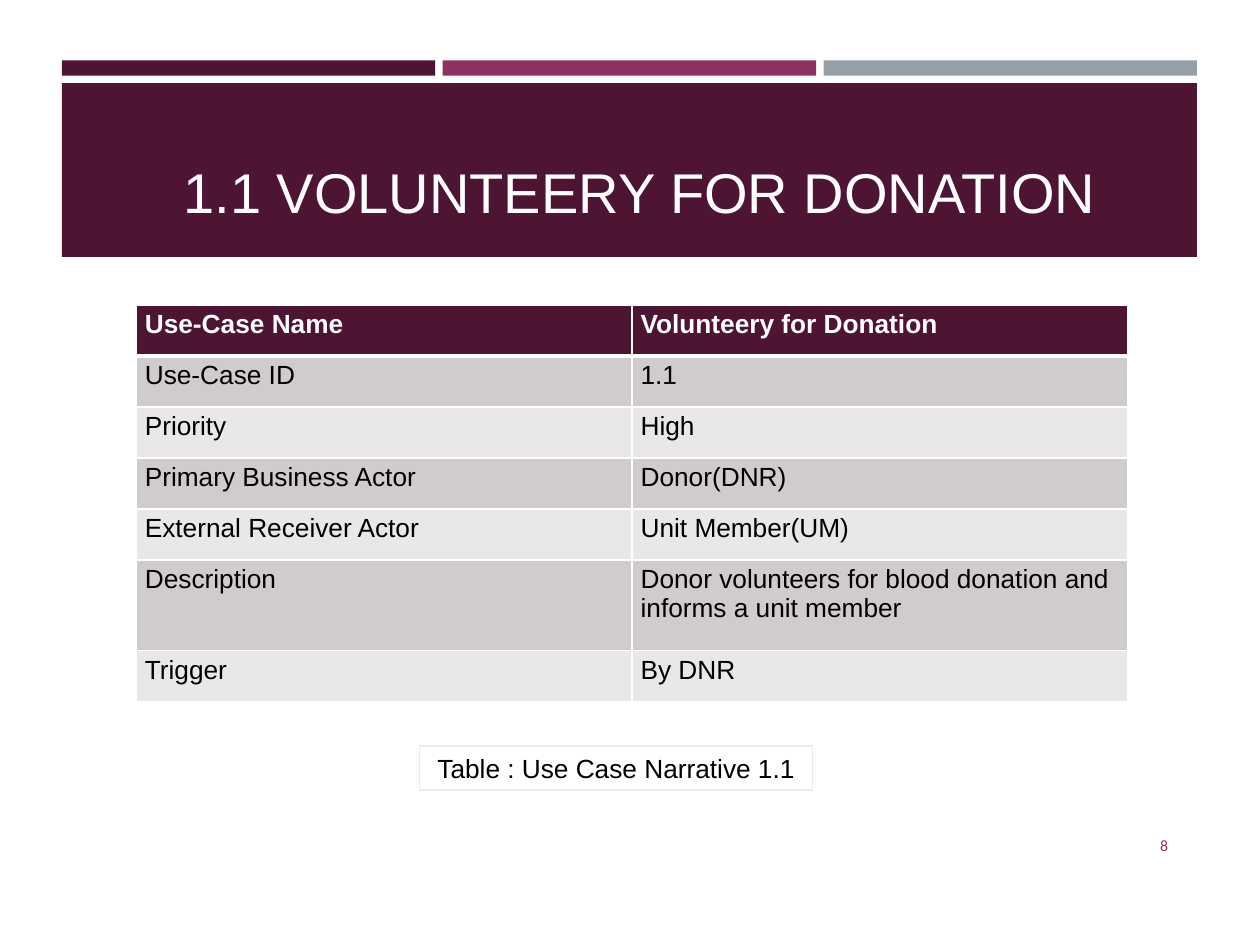
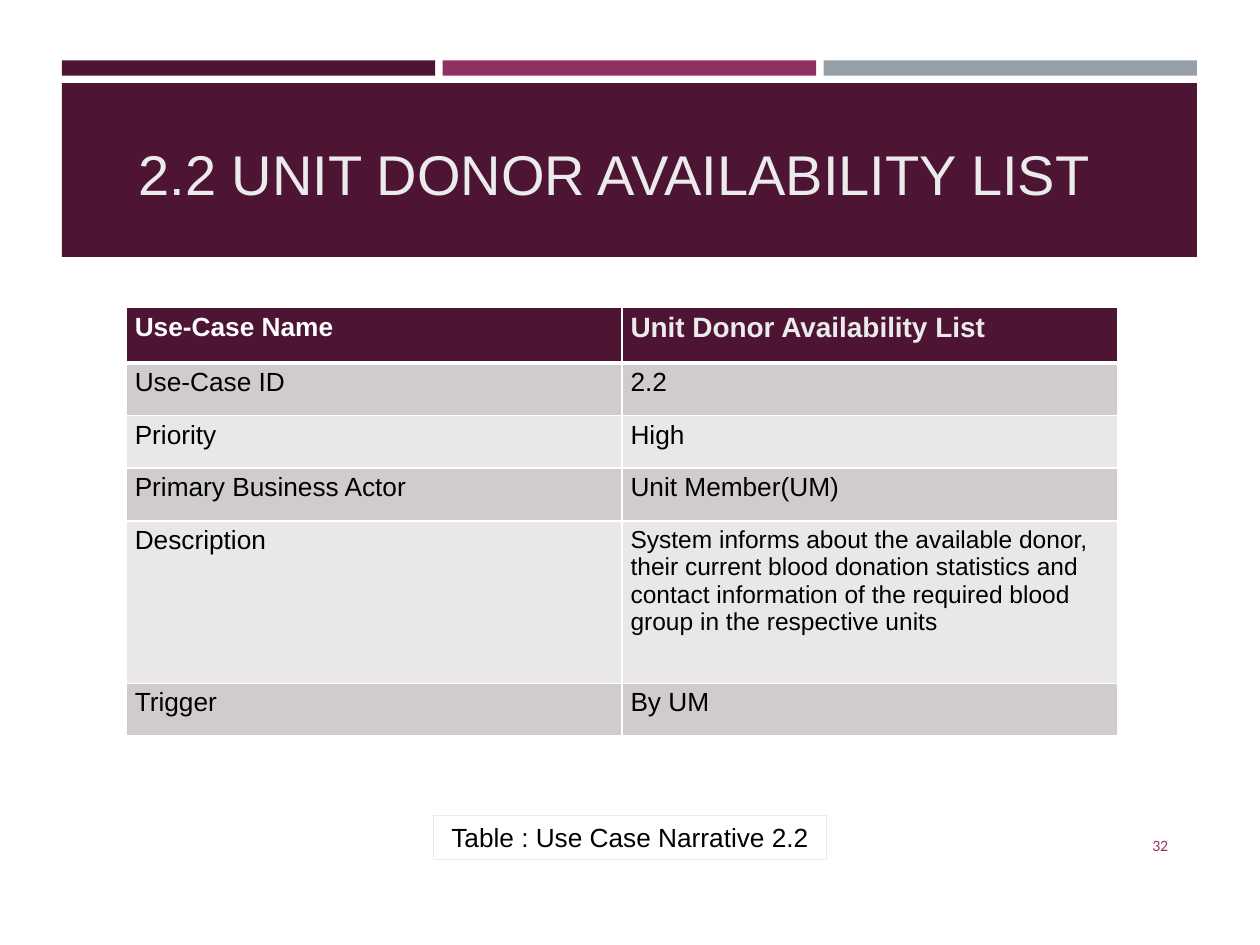
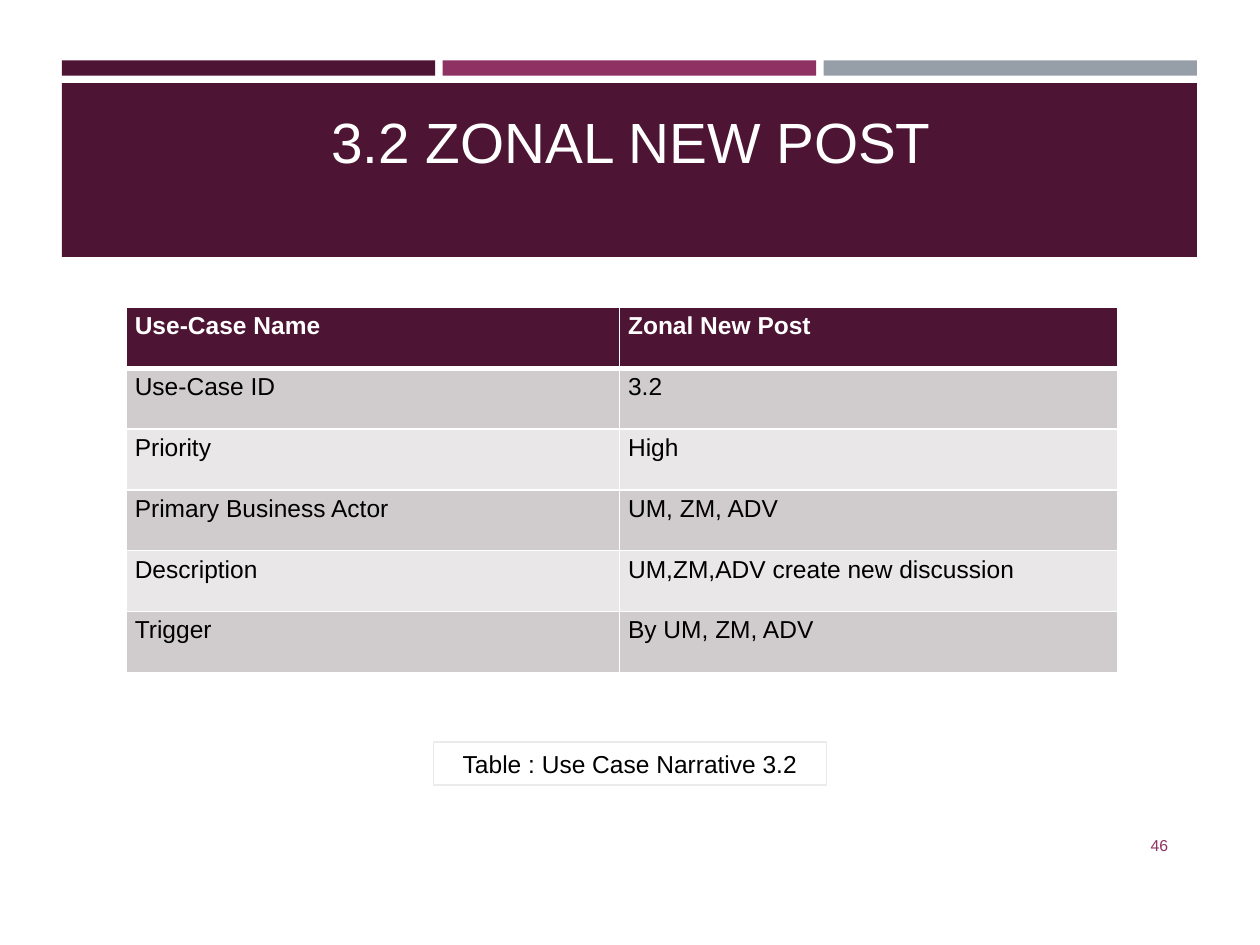
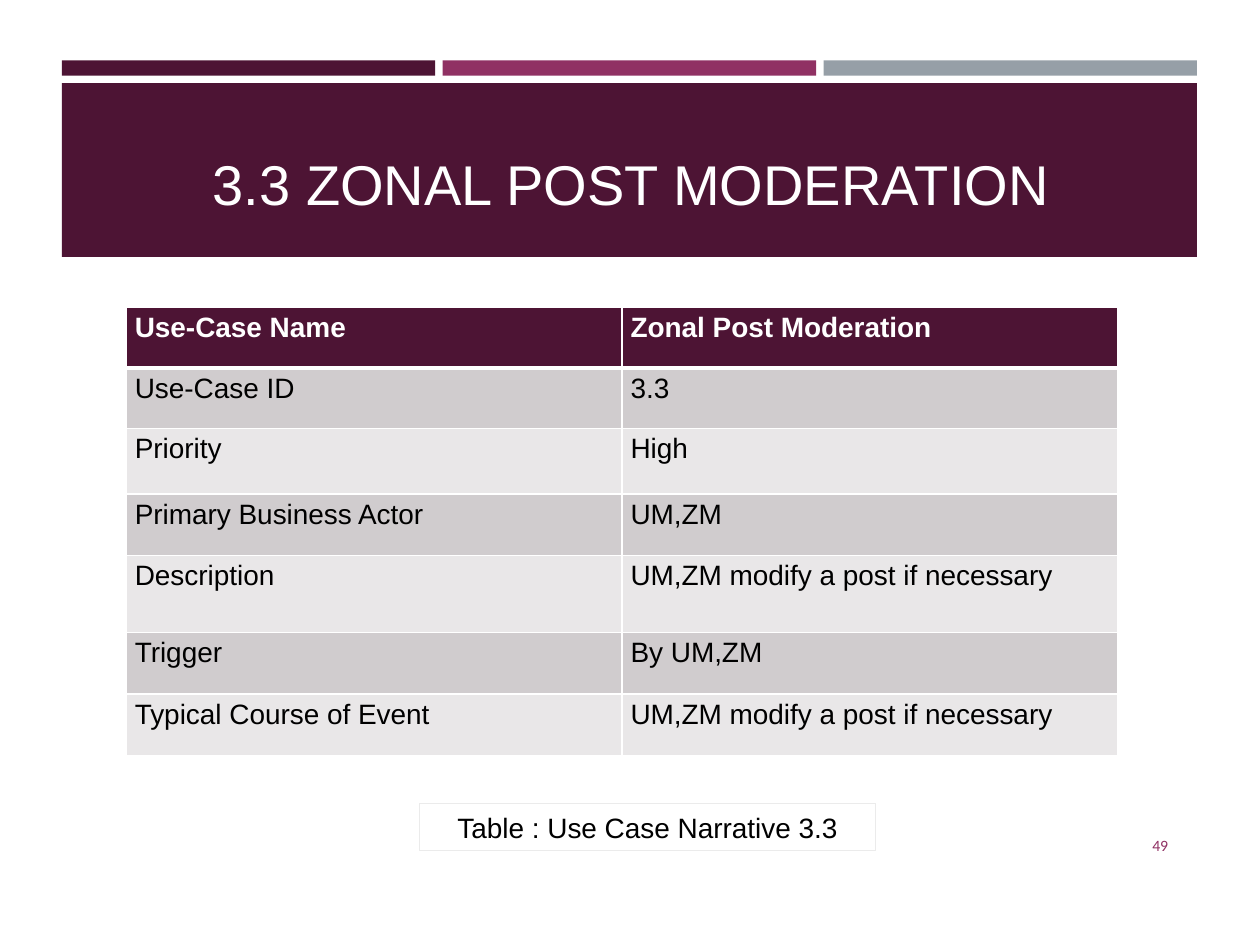
import pptx
import pptx.util
import pptx.dml.color
import pptx.enum.shapes
import pptx.enum.text
import pptx.oxml
import pptx.oxml.ns

RECTANGLE = pptx.enum.shapes.MSO_SHAPE.RECTANGLE
ALIGN = pptx.enum.text.PP_ALIGN
ANCHOR = pptx.enum.text.MSO_ANCHOR
PLUM, BERRY, SLATE = "4D1434", "903163", "969FA7"
WHITE, BLACK, PALE = "FFFFFF", "000000", "EBEBEB"
STRIPES = ["E9E7E8", "D0CCCE"]


def colour(code):
    return pptx.dml.color.RGBColor.from_string(code)


def write(frame, text, align, size, shade, frame_format, name="Arial", bold=False):
    frame.text = text
    paragraph = frame.paragraphs[0]
    font = paragraph.runs[0].font
    font_format = {"name": name, "size": pptx.util.Pt(size), "bold": bold}
    for target, values in [
        (frame, frame_format),
        (paragraph, {"alignment": align}),
        (font, font_format),
        (font.color, {"rgb": colour(shade)}),
    ]:
        for attribute, value in values.items():
            setattr(target, attribute, value)


deck = pptx.Presentation()
deck.slide_width = pptx.util.Inches(10)
deck.slide_height = pptx.util.Inches(7.5)
column = deck.slide_width / 100
row = deck.slide_height / 75
blank = deck.slide_layouts[6]

use_cases = [
    {
        "title": "1.1 VOLUNTEERY FOR DONATION",
        "title_box": (10.8, 10, 80, 8.3),
        "table_at": (10.8, 24.2),
        "row_heights": [4.05] * 5 + [7.2, 4.05],
        "narrative": [
            ("Use-Case Name", "Volunteery for Donation"),
            ("Use-Case ID", "1.1"),
            ("Priority", "High"),
            ("Primary Business Actor", "Donor(DNR)"),
            ("External Receiver Actor", "Unit Member(UM)"),
            ("Description", "Donor volunteers for blood donation and informs a unit member"),
            ("Trigger", "By DNR"),
        ],
        "text_size": 15,
        "caption": "Table : Use Case Narrative 1.1",
        "caption_box": (33.3, 59.2, 31.2, 3.5),
        "page": "8",
    },
    {
        "title": "2.2 UNIT DONOR AVAILABILITY LIST",
        "title_box": (10, 10, 80, 6.9),
        "title_align": ALIGN.LEFT,
        "title_shade": PALE,
        "row_heights": [4.4] + [4.18] * 3 + [12.9, 4.18],
        "narrative": [
            ("Use-Case Name", "Unit Donor Availability List"),
            ("Use-Case ID", "2.2"),
            ("Priority", "High"),
            ("Primary Business Actor", "Unit Member(UM)"),
            (
                "Description",
                "System informs about the available donor, their current blood donation "
                "statistics and contact information of the required blood group in the "
                "respective units",
            ),
            ("Trigger", "By UM"),
        ],
        "text_size": 15,
        "exceptions": {(0, 1): (16, PALE), (4, 1): (14, BLACK)},
        "caption": "Table : Use Case Narrative 2.2",
        "caption_box": (34.4, 64.7, 31.2, 3.5),
        "page": "32",
    },
    {
        "title": "3.2 ZONAL NEW POST",
        "title_box": (6.4, 8.3, 87.4, 10.8),
        "title_size": 32.4,
        "title_bottom": 5.2,
        "first_column": 39.15,
        "row_heights": [4.83] * 6,
        "narrative": [
            ("Use-Case Name", "Zonal New Post"),
            ("Use-Case ID", "3.2"),
            ("Priority", "High"),
            ("Primary Business Actor", "UM, ZM, ADV"),
            ("Description", "UM,ZM,ADV create new discussion"),
            ("Trigger", "By UM, ZM, ADV"),
        ],
        "text_size": 14,
        "caption": "Table : Use Case Narrative 3.2",
        "caption_box": (34.4, 58.9, 31.2, 3.4),
        "page": "46",
        "page_font": "Arial",
    },
    {
        "title": "3.3 ZONAL POST MODERATION",
        "title_box": (6.4, 9.2, 87.4, 8.5),
        "row_heights": [4.8, 4.8, 5.2, 4.9, 6.1, 4.9, 4.9],
        "narrative": [
            ("Use-Case Name", "Zonal Post Moderation"),
            ("Use-Case ID", "3.3"),
            ("Priority", "High"),
            ("Primary Business Actor", "UM,ZM"),
            ("Description", "UM,ZM modify a post if necessary"),
            ("Trigger", "By UM,ZM"),
            ("Typical Course of Event", "UM,ZM modify a post if necessary"),
        ],
        "text_size": 16,
        "caption": "Table : Use Case Narrative 3.3",
        "caption_box": (33.3, 63.8, 36.2, 3.7),
        "page": "49",
    },
]

slides = [deck.slides.add_slide(blank) for use_case in use_cases]

band_left, band_width, band_gap = 4.9, 90.1, 0.6
strip_width = (band_width - 2 * band_gap) / 3
bands = [
    (band_left + index * (strip_width + band_gap), 4.8, strip_width, 1.2, shade)
    for index, shade in enumerate([PLUM, BERRY, SLATE])
]
bands.append((band_left, 6.6, band_width, 13.8, PLUM))
for left, top, width, height, shade in bands:
    band = slides[0].shapes.add_shape(
        RECTANGLE, int(left * column), int(top * row), int(width * column), int(height * row)
    )
    band.shadow.inherit = False
    band.fill.solid()
    band.fill.fore_color.rgb = colour(shade)
    band.line.fill.background()
    blank.shapes.element.append(band.element)

table_width = 78.7
cell_format = {
    "margin_left": int(0.7 * column),
    "margin_right": int(0.7 * column),
    "margin_top": int(0.4 * row),
    "margin_bottom": int(0.4 * row),
}

for slide, use_case in zip(slides, use_cases):
    left, top, width, height = use_case["title_box"]
    heading = slide.shapes.add_textbox(
        int(left * column), int(top * row), int(width * column), int(height * row)
    )
    write(
        heading.text_frame,
        use_case["title"],
        use_case.get("title_align", ALIGN.CENTER),
        use_case.get("title_size", 32),
        use_case.get("title_shade", WHITE),
        {
            "word_wrap": True,
            "vertical_anchor": ANCHOR.BOTTOM,
            "margin_bottom": int(use_case.get("title_bottom", 0.5) * row),
        },
    )

    left, top = use_case.get("table_at", (10, 24.4))
    heights = use_case["row_heights"]
    narrative = slide.shapes.add_table(
        len(heights), 2, int(left * column), int(top * row),
        int(table_width * column), int(sum(heights) * row),
    ).table
    narrative.horz_banding = False
    first_column = use_case.get("first_column", table_width / 2)
    narrative.columns[0].width = int(first_column * column)
    narrative.columns[1].width = int((table_width - first_column) * column)
    for line, (height, entries) in enumerate(zip(heights, use_case["narrative"])):
        narrative.rows[line].height = int(height * row)
        header = line == 0
        for place, entry in enumerate(entries):
            cell = narrative.cell(line, place)
            for attribute, value in cell_format.items():
                setattr(cell, attribute, value)
            weights = {"L": 1, "R": 1, "T": 3 if line == 1 else 1, "B": 3 if header else 1}
            for side, weight in weights.items():
                cell._tc.get_or_add_tcPr().append(pptx.oxml.parse_xml(
                    f'<a:ln{side} {pptx.oxml.ns.nsdecls("a")} w="{pptx.util.Pt(weight)}">'
                    f'<a:solidFill><a:srgbClr val="{WHITE}"/></a:solidFill></a:ln{side}>'
                ))
            cell.fill.solid()
            cell.fill.fore_color.rgb = colour(PLUM if header else STRIPES[line % 2])
            size, shade = use_case.get("exceptions", {}).get(
                (line, place), (use_case["text_size"], WHITE if header else BLACK)
            )
            write(cell.text_frame, entry, ALIGN.LEFT, size, shade, {}, bold=header)

    page_number = slide.shapes.add_textbox(
        int(85.3 * column), int(65.1 * row), int(8.4 * column), int(4 * row)
    )
    write(
        page_number.text_frame, use_case["page"], ALIGN.RIGHT, 9, BERRY,
        {"word_wrap": True, "vertical_anchor": ANCHOR.MIDDLE},
        name=use_case.get("page_font", "Calibri"),
    )

    left, top, width, height = use_case["caption_box"]
    caption = slide.shapes.add_shape(
        RECTANGLE, int(left * column), int(top * row), int(width * column), int(height * row)
    )
    caption.shadow.inherit = False
    caption.fill.background()
    caption.line.color.rgb = colour(PALE)
    caption.line.width = pptx.util.Pt(0.75)
    write(
        caption.text_frame, use_case["caption"], ALIGN.CENTER, use_case["text_size"], BLACK,
        {"word_wrap": True, "vertical_anchor": ANCHOR.MIDDLE},
    )

deck.save("out.pptx")
